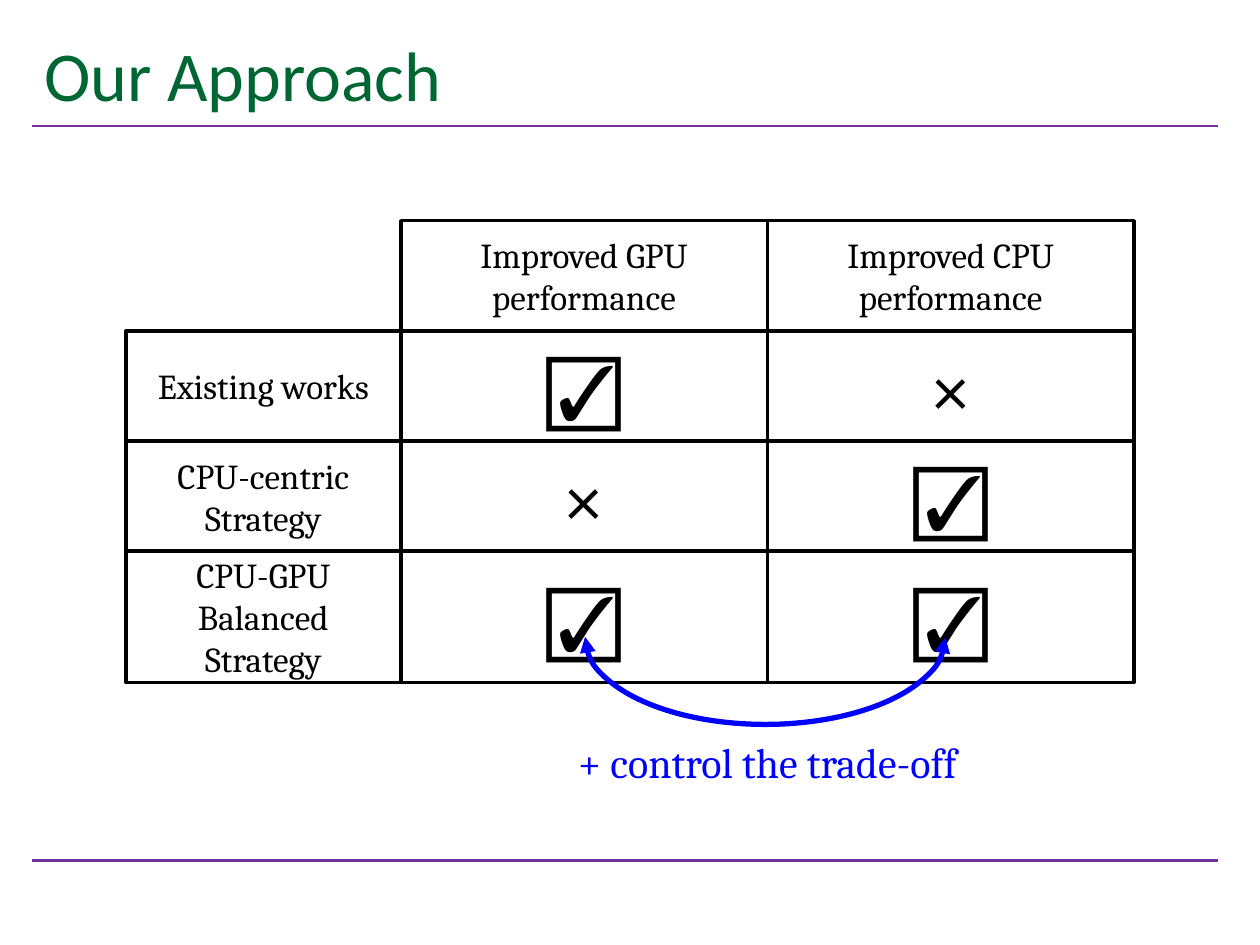
from itertools import accumulate

from lxml import etree
from pptx import Presentation
from pptx.dml.color import RGBColor
from pptx.enum.shapes import MSO_CONNECTOR, MSO_SHAPE
from pptx.enum.text import MSO_ANCHOR, PP_ALIGN
from pptx.oxml.ns import qn
from pptx.util import Cm, Pt

RECTANGLE, ARC = MSO_SHAPE.RECTANGLE, MSO_SHAPE.ARC
STRAIGHT = MSO_CONNECTOR.STRAIGHT
LEFT, CENTER = PP_ALIGN.LEFT, PP_ALIGN.CENTER
TOP, MIDDLE = MSO_ANCHOR.TOP, MSO_ANCHOR.MIDDLE

COLORS = {"title": "006633", "rule": "7030A0", "grid": "000000", "accent": "0000FF"}
TITLE = "Our Approach"
CAPTION = "+ control the trade-off"
YES, NO = "☑", "×"
GRID = [
    [None, "Improved GPU performance", "Improved CPU performance"],
    ["Existing works", YES, NO],
    ["CPU-centric Strategy", NO, YES],
    ["CPU-GPU Balanced Strategy", YES, YES],
]
COLUMN_WIDTHS = [5.54, 7.39, 7.39]
ROW_HEIGHTS = [2.22, 2.22, 2.22, 2.65]
GRID_LEFT, GRID_TOP = 2.54, 4.45
RULE_LEFT, RULE_RIGHT = 0.64, 24.56
RULE_HEIGHTS = [17.35, 2.54]


def color(name):
    return RGBColor.from_string(COLORS[name])


def style_line(line, name, width):
    line.color.rgb = color(name)
    line.width = Pt(width)


def write(shape, text, font_name, size, color_name, alignment=CENTER, anchor=MIDDLE):
    frame = shape.text_frame
    frame.word_wrap = True
    frame.vertical_anchor = anchor
    paragraph = frame.paragraphs[0]
    paragraph.text = text
    paragraph.alignment = alignment
    paragraph.font.name = font_name
    paragraph.font.size = Pt(size)
    paragraph.font.color.rgb = color(color_name)


def add_outline(slide, kind, box, color_name, width):
    shape = slide.shapes.add_shape(kind, *map(Cm, box))
    shape.shadow.inherit = False
    shape.fill.background()
    style_line(shape.line, color_name, width)
    return shape


def add_rules(slide):
    for height in RULE_HEIGHTS:
        rule = slide.shapes.add_connector(
            STRAIGHT, Cm(RULE_LEFT), Cm(height), Cm(RULE_RIGHT), Cm(height))
        style_line(rule.line, "rule", 1.5)
        etree.SubElement(rule._element.spPr, qn("a:effectLst"))


def add_grid(slide):
    lefts = list(accumulate(COLUMN_WIDTHS, initial=GRID_LEFT))
    tops = list(accumulate(ROW_HEIGHTS, initial=GRID_TOP))
    for row, top, height in zip(GRID, tops, ROW_HEIGHTS):
        for text, left, width in zip(row, lefts, COLUMN_WIDTHS):
            if text:
                cell = add_outline(slide, RECTANGLE, (left, top, width, height), "grid", 2)
                write(cell, text, "Cambria", 44 if text in (YES, NO) else 20, "grid")


def add_trade_off_arc(slide):
    arc = add_outline(slide, ARC, (13.67, 9.22, 3.51, 7.26), "accent", 3)
    arc.rotation = 90
    arc.adjustments[0] = 162
    arc.adjustments[1] = 54.1
    line = arc._element.spPr.find(qn("a:ln"))
    for end in ("a:headEnd", "a:tailEnd"):
        etree.SubElement(line, qn(end), type="triangle")


def main():
    presentation = Presentation()
    presentation.slide_width, presentation.slide_height = Cm(25.4), Cm(19.05)
    slide = presentation.slides.add_slide(presentation.slide_layouts[6])
    add_rules(slide)
    title = slide.shapes.add_textbox(Cm(RULE_LEFT), Cm(0.43), Cm(23.92), Cm(2.11))
    write(title, TITLE, "Calibri", 40, "title", LEFT)
    add_grid(slide)
    caption = slide.shapes.add_textbox(Cm(8.08), Cm(14.73), Cm(14.78), Cm(1.27))
    write(caption, CAPTION, "Cambria", 24, "accent", anchor=TOP)
    add_trade_off_arc(slide)
    presentation.save("out.pptx")


if __name__ == "__main__":
    main()
